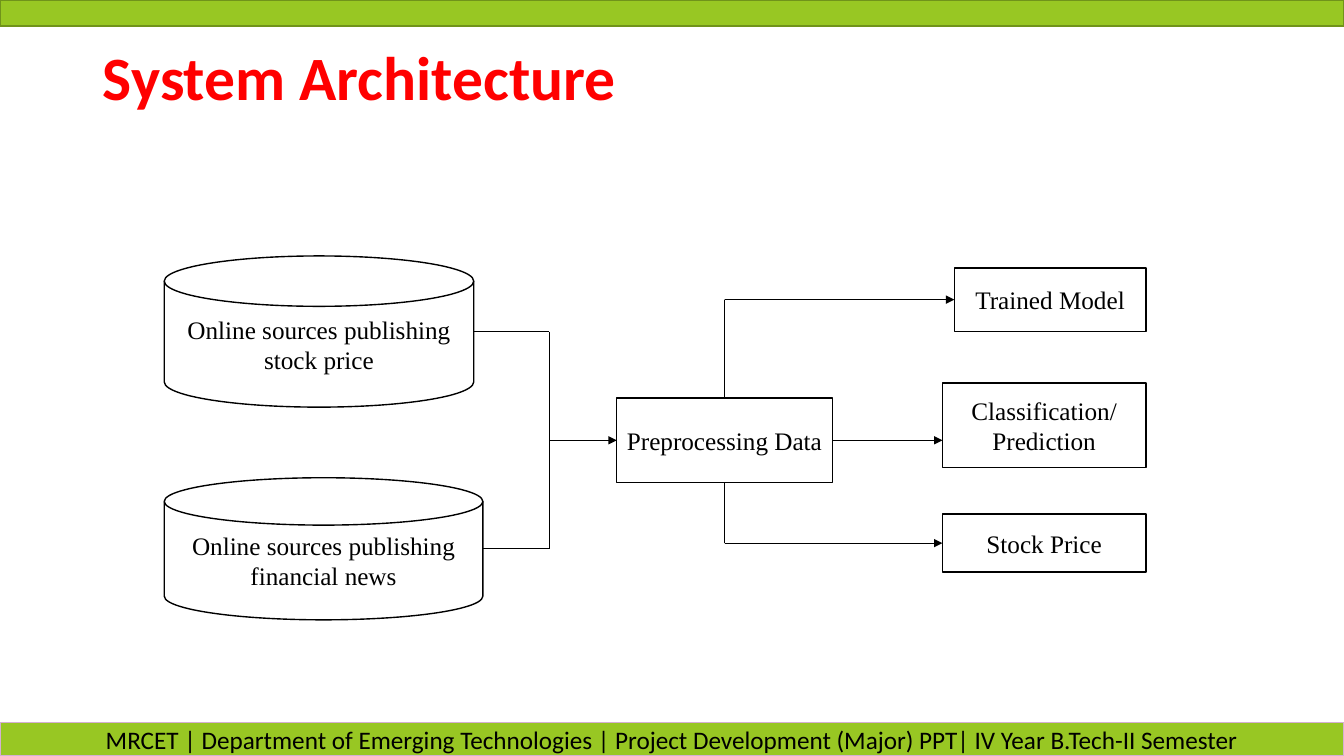
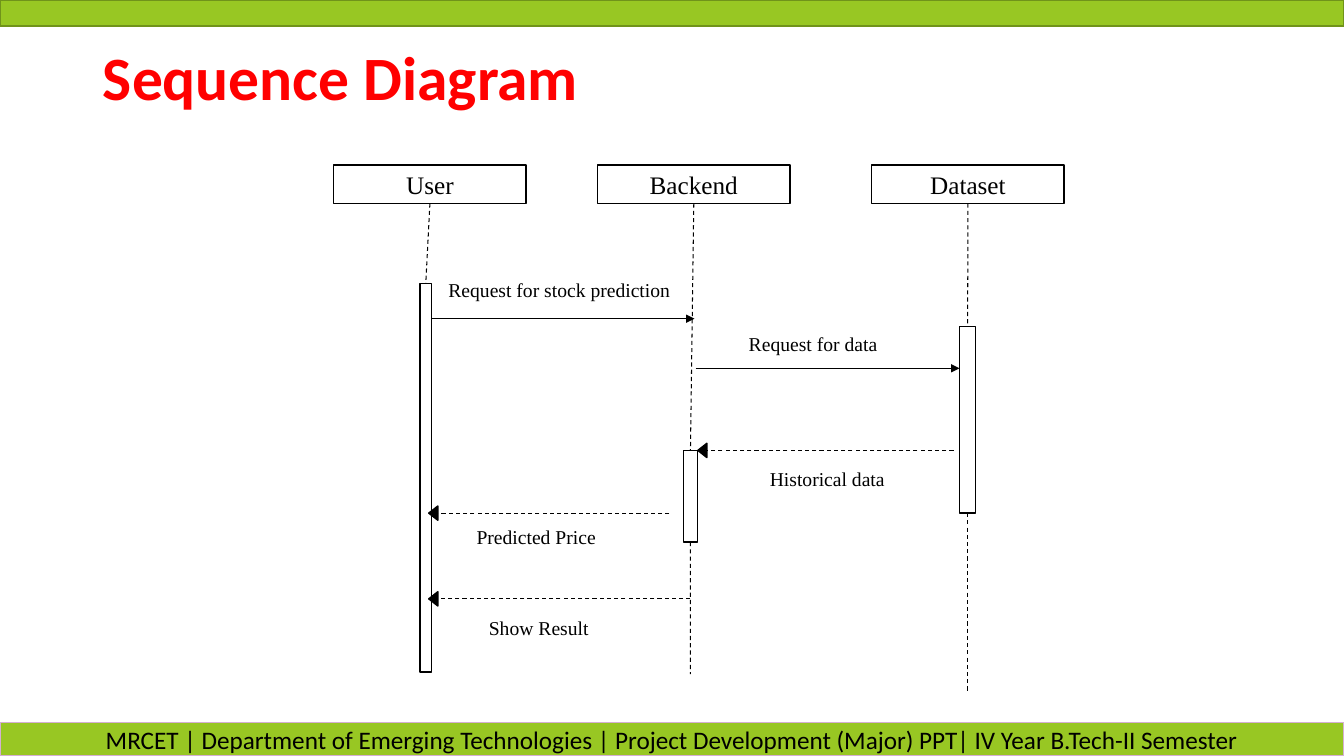
from dataclasses import dataclass

from lxml.etree import SubElement
from pptx import Presentation
from pptx.dml.color import RGBColor
from pptx.enum.dml import MSO_LINE_DASH_STYLE as Dash
from pptx.enum.shapes import MSO_CONNECTOR as Wire, MSO_SHAPE as Shape
from pptx.enum.text import MSO_ANCHOR as Anchor, MSO_AUTO_SIZE as AutoSize, PP_ALIGN as Align
from pptx.oxml.ns import qn
from pptx.util import Cm, Pt

TOP, LEFT, BOTTOM, RIGHT = range(4)  # connection sites of a rectangle


@dataclass(frozen=True)
class Theme:
    band: RGBColor = RGBColor(0x98, 0xC7, 0x23)
    top_edge: RGBColor = RGBColor(0x70, 0x93, 0x1A)
    footer_edge: RGBColor = RGBColor(0xD4, 0xB0, 0xD2)
    title: RGBColor = RGBColor(0xFF, 0, 0)
    ink: RGBColor = RGBColor(0, 0, 0)
    paper: RGBColor = RGBColor(0xFF, 0xFF, 0xFF)
    heading_font: str = "Calibri"
    diagram_font: str = "Times New Roman"
    title_size: float = 44
    body_size: float = 18
    label_size: float = 14
    outline: float = 1
    dashed: float = 0.75
    thin: float = 0.5


THEME = Theme()


@dataclass(frozen=True)
class Box:
    """A rectangle in centimetres."""
    left: float
    top: float
    width: float
    height: float

    def inside(self, left, top, width, height):
        return Box(self.left + left, self.top + top, width, height)

    def point(self, x, y):
        return self.left + x, self.top + y

    @property
    def right(self):
        return self.left + self.width

    @property
    def bottom(self):
        return self.top + self.height

    @property
    def center(self):
        return self.left + self.width / 2

    @property
    def middle(self):
        return self.top + self.height / 2

    def lengths(self):
        return Cm(self.left), Cm(self.top), Cm(self.width), Cm(self.height)


PAGE = Box(0, 0, 33.87, 19.05)
TITLE = Box(2.34, 1, 29.21, 2.08)
ARCHITECTURE = Box(4.14, 6.45, 24.74, 9.17)
SEQUENCE = Box(8.41, 4.16, 18.42, 13.26)
FOOTER = ("MRCET | Department of Emerging Technologies | "
          "Project Development (Major) PPT| IV Year B.Tech-II Semester")


def write(shape, text, *, size=THEME.body_size, font=THEME.diagram_font, color=THEME.ink,
          bold=False, align=Align.CENTER, anchor=Anchor.MIDDLE, spacing=None, inset=None):
    frame = shape.text_frame
    frame.word_wrap = True
    frame.auto_size = AutoSize.NONE
    frame.vertical_anchor = anchor
    if inset is not None:
        frame.margin_left = frame.margin_right = Cm(inset)
        frame.margin_top = frame.margin_bottom = 0
    para = frame.paragraphs[0]
    para.alignment = align
    para.line_spacing = spacing
    span = para.add_run()
    span.text = text
    span.font.name, span.font.size = font, Pt(size)
    span.font.bold, span.font.color.rgb = bold, color


def draw(page, box, text="", *, kind=Shape.RECTANGLE, fill=THEME.paper, edge=THEME.ink,
         **text_format):
    shape = page.shapes.add_shape(kind, *box.lengths())
    shape.shadow.inherit = False
    shape.fill.solid()
    shape.fill.fore_color.rgb = fill
    shape.line.color.rgb = edge
    shape.line.width = Pt(THEME.outline)
    if text:
        write(shape, text, inset=0.2, **text_format)
    return shape


def connect(page, start, end, *, begin_at=None, end_at=None, arrow=False, dashed=False):
    """Draw a straight line; begin_at and end_at are (shape, site) pairs."""
    line = page.shapes.add_connector(Wire.STRAIGHT, *map(Cm, (*start, *end)))
    if begin_at:
        line.begin_connect(*begin_at)
    if end_at:
        line.end_connect(*end_at)
    line.line.color.rgb = THEME.ink
    line.line.width = Pt(THEME.dashed if dashed else THEME.thin)
    if dashed:
        line.line.dash_style = Dash.DASH
    if arrow:
        SubElement(line.line._get_or_add_ln(), qn("a:tailEnd"), type="triangle")
    SubElement(line.element.spPr, qn("a:effectLst"))


def add_bands(deck, page):
    """Draw the top band and the footer, then hand them to the slide master."""
    top = draw(page, PAGE.inside(0, 0, PAGE.width, 0.66), fill=THEME.band, edge=THEME.top_edge)
    footer = draw(page, PAGE.inside(0, 18.21, PAGE.width, 0.84), FOOTER,
                  fill=THEME.band, edge=THEME.footer_edge, font=THEME.heading_font)
    for number, band in enumerate((top, footer)):
        band.element.nvSpPr.cNvPr.id = 101 + number
        deck.slide_master.element.spTree.insert(2 + number, band.element)


def add_page(deck, title):
    page = deck.slides.add_slide(deck.slide_layouts[5])
    heading = page.shapes.title
    heading.left, heading.top, heading.width, heading.height = TITLE.lengths()
    write(heading, title, size=THEME.title_size, font=THEME.heading_font, color=THEME.title,
          bold=True, align=Align.LEFT, spacing=0.9)
    return page


def draw_sources(page, area):
    """Two data stores gathered on one vertical bus; returns the bus position."""
    stores = (
        (area.inside(0, 0, 7.8, 3.81), "Online sources publishing stock price"),
        (area.inside(0, 5.59, 8.03, 3.58), "Online sources publishing financial news"),
    )
    bus = area.left + 9.7
    for box, text in stores:
        draw(page, box, text, kind=Shape.FLOWCHART_MAGNETIC_DISK)
        connect(page, (box.right, box.middle), (bus, box.middle))
    connect(page, (bus, stores[0][0].middle), (bus, stores[1][0].middle))
    return bus


def draw_architecture(page, area):
    bus = draw_sources(page, area)

    # Processing step
    step_box = area.inside(11.4, 3.58, 5.44, 2.13)
    step = draw(page, step_box, "Preprocessing Data")
    connect(page, (bus, step_box.middle), (step_box.left, step_box.middle),
            end_at=(step, LEFT), arrow=True)

    # Results, aligned on the right edge of the area
    results = (
        ("Trained Model", 0.3, 4.83, 1.6, TOP),
        ("Classification/ Prediction", 3.2, 5.13, 2.13, RIGHT),
        ("Stock Price", 6.5, 5.13, 1.47, BOTTOM),
    )
    for text, top, width, height, site in results:
        box = area.inside(area.width - width, top, width, height)
        result = draw(page, box, text)
        if site == RIGHT:
            connect(page, (step_box.right, step_box.middle), (box.left, step_box.middle),
                    begin_at=(step, RIGHT), arrow=True)
            continue
        corner = step_box.center, box.middle
        edge = step_box.top if site == TOP else step_box.bottom
        connect(page, (step_box.center, edge), corner, begin_at=(step, site))
        connect(page, corner, (box.left, box.middle), end_at=(result, LEFT), arrow=True)


def draw_participant(page, area, name, left, bar_place, tail_end):
    head_box = area.inside(left, 0, 4.85, 0.97)
    bar_box = area.inside(*bar_place)
    head = draw(page, head_box, name)
    bar = draw(page, bar_box)
    connect(page, (head_box.center, head_box.bottom), (bar_box.center, bar_box.top),
            begin_at=(head, BOTTOM), end_at=(bar, TOP), dashed=True)
    if tail_end:
        connect(page, (bar_box.center, bar_box.bottom), (bar_box.center, area.top + tail_end),
                begin_at=(bar, BOTTOM), dashed=True)


def draw_message(page, area, text, label_place, start, end, level):
    """Requests run right with a solid line, replies run left with a dashed one."""
    reply = end < start
    connect(page, area.point(start, level), area.point(end, level),
            arrow=not reply, dashed=reply)
    if reply:
        width, height = 0.36, 0.23
        head_box = area.inside(end + 0.07 - width / 2, level - height / 2, width, height)
        head = draw(page, head_box, kind=Shape.FLOWCHART_EXTRACT, fill=THEME.ink)
        head.rotation = 270
    label = page.shapes.add_textbox(*area.inside(*label_place, 0.86).lengths())
    write(label, text, size=THEME.label_size, align=Align.LEFT, anchor=Anchor.TOP)


def draw_sequence(page, area):
    # Name, head left, activation bar, end of the lower lifeline
    participants = (
        ("User", 0, (2.18, 2.98, 0.28, 9.8), None),
        ("Backend", 6.65, (8.81, 7.19, 0.36, 2.31), 12.83),
        ("Dataset", 13.56, (15.77, 4.07, 0.41, 4.7), 13.26),
    )
    # Text, label (left, top, width), line start, line end, level
    messages = (
        ("Request for stock prediction", (2.64, 2.72, 6.3), 2.46, 9.09, 3.87),
        ("Request for data", (10.21, 4.07, 5.38), 9.12, 15.77, 5.12),
        ("Historical data", (10.74, 7.47, 4.37), 15.62, 9.22, 7.19),
        ("Predicted Price", (3.35, 8.95, 4.19), 8.46, 2.44, 8.77),
        ("Show Result", (3.66, 11.23, 3.91), 8.99, 2.44, 10.93),
    )
    for participant in participants:
        draw_participant(page, area, *participant)
    for message in messages:
        draw_message(page, area, *message)


def main():
    deck = Presentation()
    deck.slide_width, deck.slide_height = Cm(PAGE.width), Cm(PAGE.height)

    architecture = add_page(deck, "System Architecture")
    add_bands(deck, architecture)
    draw_architecture(architecture, ARCHITECTURE)

    sequence = add_page(deck, "Sequence Diagram")
    draw_sequence(sequence, SEQUENCE)

    deck.save("out.pptx")


if __name__ == "__main__":
    main()
